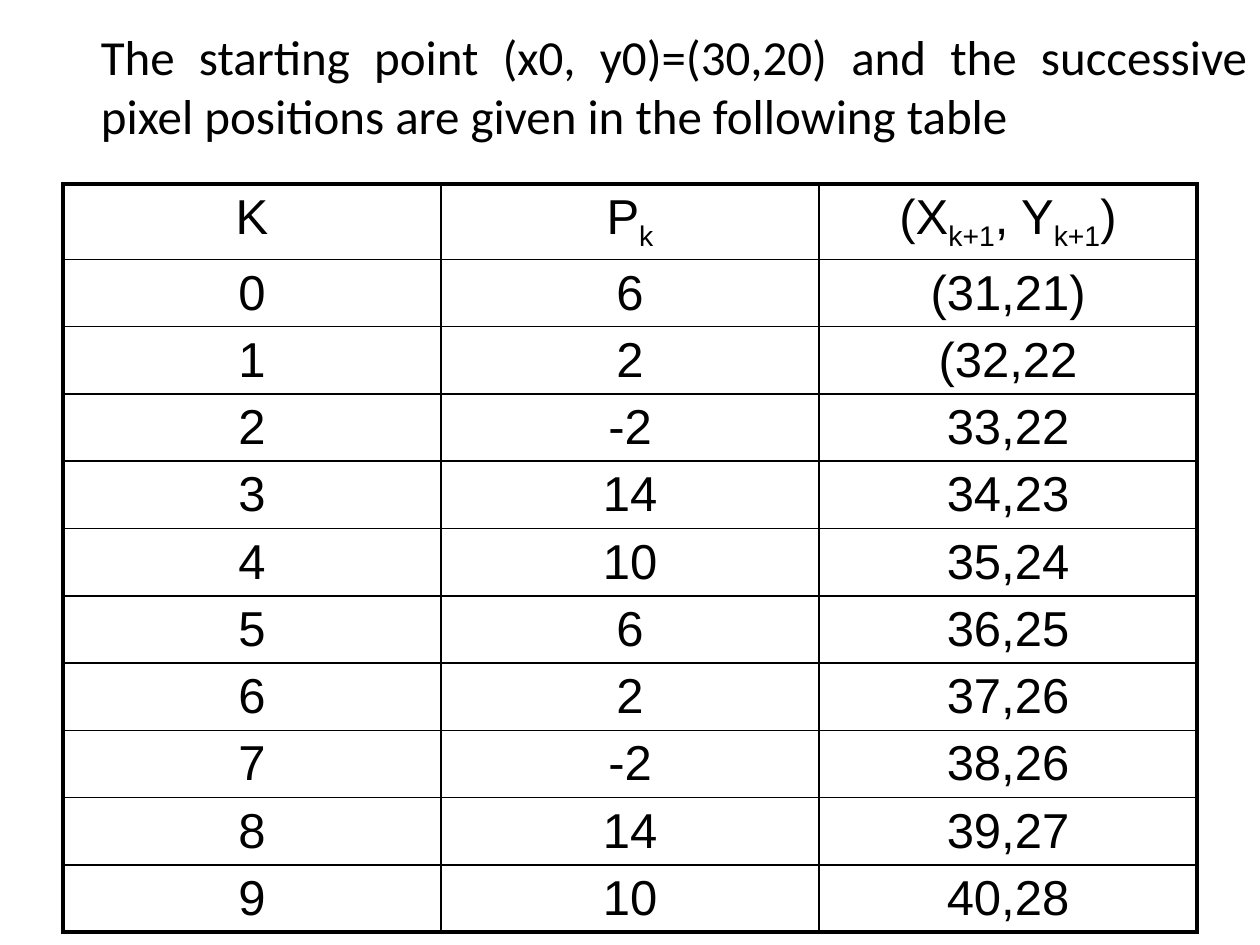
"""Build a slide with a table of successive pixel positions."""
import pptx
import pptx.util
import pptx.dml.color
import pptx.enum.text
import pptx.oxml
import pptx.oxml.ns

Cm, Pt = pptx.util.Cm, pptx.util.Pt
ALIGN = pptx.enum.text.PP_ALIGN
COLORS = {"ink": "000000", "page": "FFFFFF"}
THIN, THICK = 1, 2.25
TITLE = ("The starting point (x0, y0)=(30,20) and the successive "
         "pixel positions are given in the following table")
ROWS = [
    ("K", "P_k", "(X_k+1_, Y_k+1_)"),
    ("0", "6", "(31,21)"),
    ("1", "2", "(32,22"),
    ("2", "-2", "33,22"),
    ("3", "14", "34,23"),
    ("4", "10", "35,24"),
    ("5", "6", "36,25"),
    ("6", "2", "37,26"),
    ("7", "-2", "38,26"),
    ("8", "14", "39,27"),
    ("9", "10", "40,28"),
]


def rgb(name):
    return pptx.dml.color.RGBColor.from_string(COLORS[name])


def write(frame, text, font="Arial", size=28, color="ink", align=ALIGN.CENTER):
    """Write text in a frame; underscores switch subscript on and off."""
    par = frame.paragraphs[0]
    par.alignment = align
    par.space_before = Pt(0)
    for i, part in enumerate(text.split("_")):
        if not part:
            continue
        run = par.add_run()
        run.text = part
        run.font.name = font
        run.font.size = Pt(size)
        run.font.color.rgb = rgb(color)
        if i % 2:
            run.font._element.set("baseline", "-25000")


def border(cell, widths):
    """Draw the cell's borders, given widths in points by side."""
    props = cell._tc.get_or_add_tcPr()
    space = pptx.oxml.ns.nsdecls("a")
    for i, (side, width) in enumerate(widths.items()):
        props.insert(i, pptx.oxml.parse_xml(
            f'<a:ln{side} {space} w="{Pt(width)}"><a:solidFill>'
            f'<a:srgbClr val="{COLORS["ink"]}"/></a:solidFill></a:ln{side}>'))


def add_title(slide):
    """Place and fill the title."""
    title = slide.shapes.title
    title.left, title.top = Cm(1.78), Cm(0)
    title.width, title.height = Cm(23.62), Cm(3.43)
    frame = title.text_frame
    frame.word_wrap = True
    frame.auto_size = pptx.enum.text.MSO_AUTO_SIZE.NONE
    frame.vertical_anchor = pptx.enum.text.MSO_ANCHOR.MIDDLE
    write(frame, TITLE, font="Calibri", align=ALIGN.JUSTIFY)


def add_grid(slide):
    """Add the table, with a thick frame and thin inner lines."""
    high, wide = len(ROWS), len(ROWS[0])
    head, step = Cm(1.52), Cm(1.35)
    table = slide.shapes.add_table(
        high, wide, Cm(1.27), Cm(3.71), Cm(22.86),
        head + step * (high - 1)).table
    table.first_row = table.horz_banding = False
    for r, row in enumerate(ROWS):
        table.rows[r].height = step if r else head
        for c, text in enumerate(row):
            cell = table.cell(r, c)
            cell.fill.background()
            write(cell.text_frame, text)
            edges = {"L": c == 0, "R": c == wide - 1,
                     "T": r == 0, "B": r == high - 1}
            border(cell, {side: THICK if outer else THIN
                          for side, outer in edges.items()})


def main():
    deck = pptx.Presentation()
    deck.slide_width, deck.slide_height = Cm(25.4), Cm(19.05)
    slide = deck.slides.add_slide(deck.slide_layouts[5])
    fill = slide.background.fill
    fill.solid()
    fill.fore_color.rgb = rgb("page")
    add_title(slide)
    add_grid(slide)
    deck.save("out.pptx")


if __name__ == "__main__":
    main()
